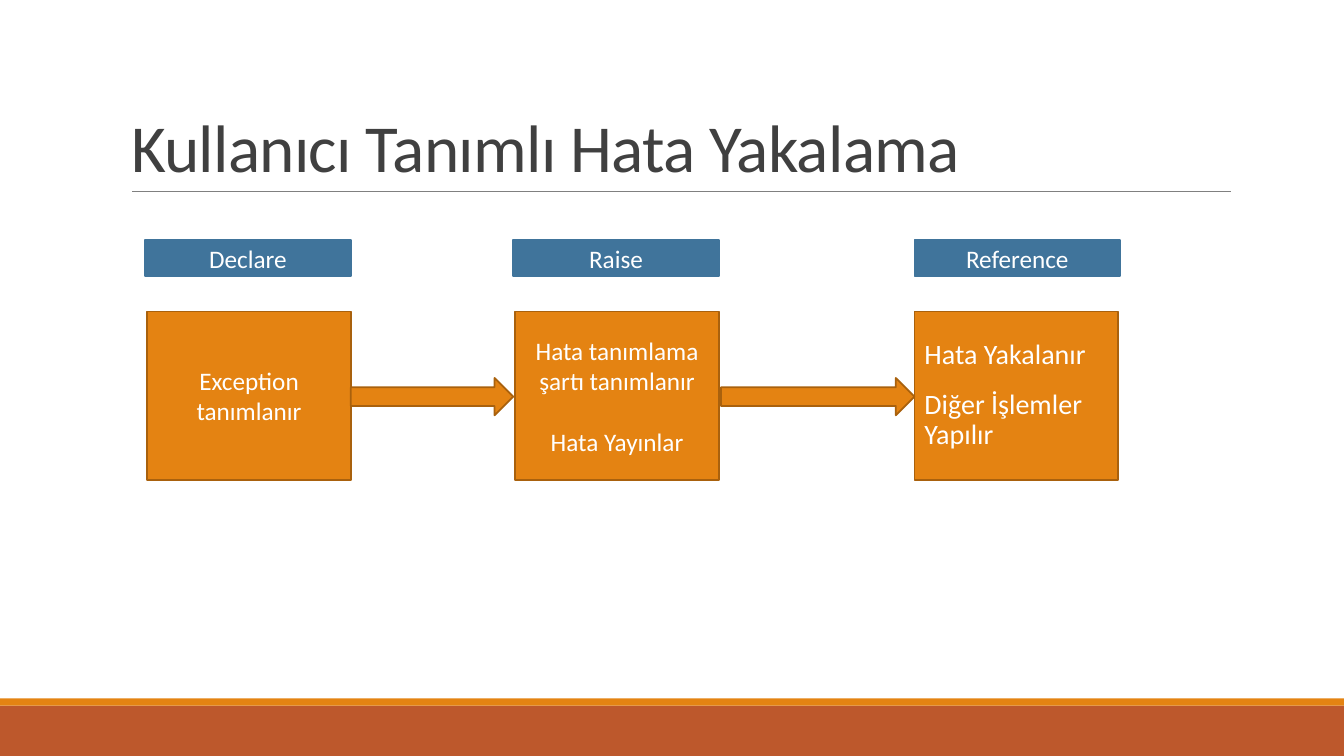
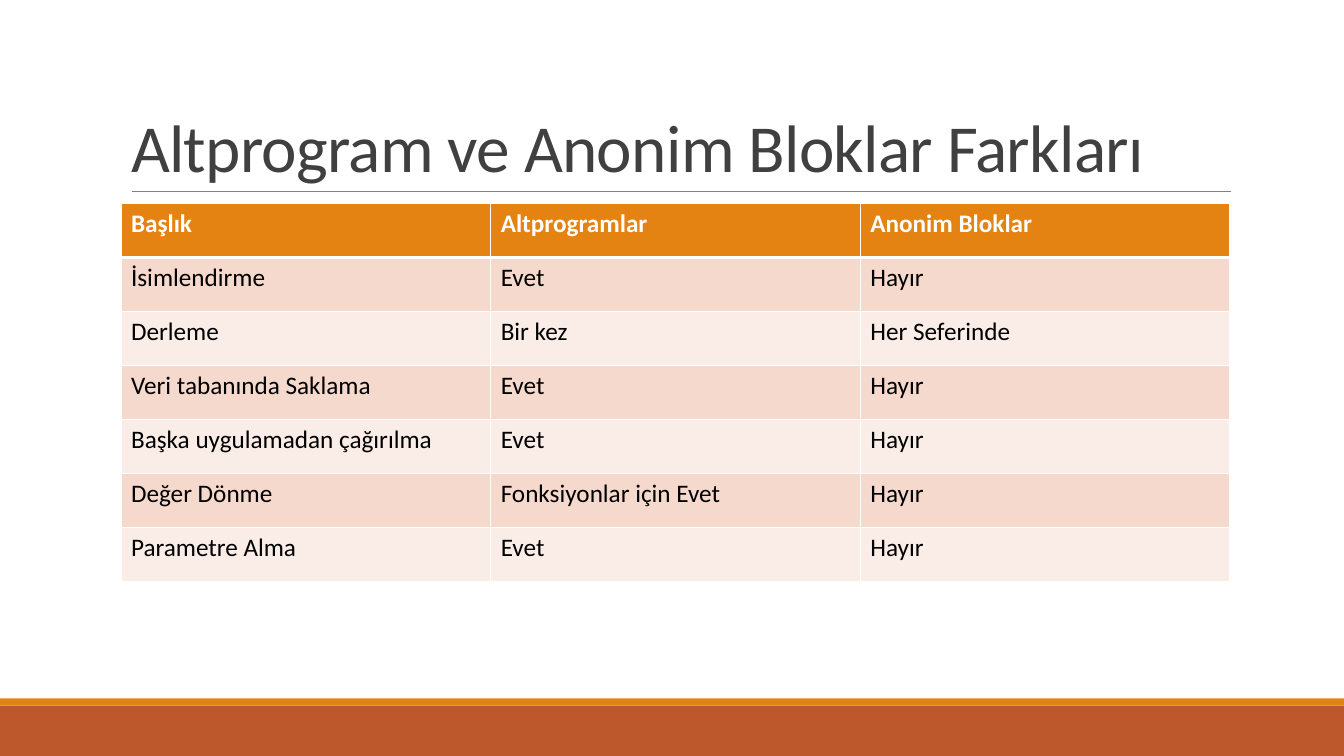
from pptx import Presentation
from pptx.dml.color import RGBColor
from pptx.enum.shapes import MSO_CONNECTOR, MSO_SHAPE
from pptx.enum.text import MSO_ANCHOR, MSO_AUTO_SIZE, PP_ALIGN
from pptx.oxml.ns import qn
from pptx.util import Inches, Pt
from lxml.etree import SubElement

# Shared look
FONT = "Calibri"
ORANGE = RGBColor(0xE4, 0x83, 0x12)
ORANGE_EDGE = RGBColor(0xA9, 0x61, 0x0D)
RUST = RGBColor(0xBD, 0x58, 0x2C)
BLUE = RGBColor(0x40, 0x74, 0x9B)
GRAY = RGBColor(0x80, 0x80, 0x80)
DARK = RGBColor(0x40, 0x40, 0x40)
BLACK = RGBColor(0, 0, 0)
WHITE = RGBColor(0xFF, 0xFF, 0xFF)
ROW_FILLS = [RGBColor(0xF5, 0xD9, 0xCC), RGBColor(0xFA, 0xED, 0xE7)]

# Content
FLOW_TITLE = "Kullanıcı Tanımlı Hata Yakalama"
CENTERED = {"alignment": PP_ALIGN.CENTER}
LISTED = {"alignment": PP_ALIGN.LEFT, "line_spacing": 0.9, "space_after": Pt(2)}
STEPS = [  # label, label left, box left, lines, size, gap before later lines, format
    ("Declare", 1.44, 1.46, ["Exception tanımlanır"], 18, 0, CENTERED),
    ("Raise", 5.09, 5.11, ["Hata tanımlama şartı tanımlanır", "Hata Yayınlar"],
     18, 22, CENTERED),
    ("Reference", 9.07, 9.07, ["Hata Yakalanır", "Diğer İşlemler Yapılır"],
     20, 12, LISTED),
]
ARROWS = [(3.48, 5.09), (7.15, 9.07)]  # left and right ends

TABLE_TITLE = "Altprogram ve Anonim Bloklar Farkları"
ROWS = [
    ("Başlık", "Altprogramlar", "Anonim Bloklar"),
    ("İsimlendirme", "Evet", "Hayır"),
    ("Derleme", "Bir kez", "Her Seferinde"),
    ("Veri tabanında Saklama", "Evet", "Hayır"),
    ("Başka uygulamadan çağırılma", "Evet", "Hayır"),
    ("Değer Dönme", "Fonksiyonlar için Evet", "Hayır"),
    ("Parametre Alma", "Evet", "Hayır"),
]


def set_all(target, values):
    for name, value in values.items():
        setattr(target, name, value)


def set_font(font, size, color, bold=False):
    set_all(font, {"name": FONT, "size": Pt(size), "bold": bold})
    font.color.rgb = color


def add_block(s, kind, box, fill, edge=None):
    sp = s.shapes.add_shape(kind, *map(Inches, box))
    sp.shadow.inherit = False
    sp.fill.solid()
    sp.fill.fore_color.rgb = fill
    if edge is None:
        sp.line.fill.background()
    else:
        sp.line.color.rgb = edge
        sp.line.width = Pt(1.25)
    return sp


def write(sp, lines, size, gap=0, style=CENTERED):
    tf = sp.text_frame
    set_all(tf, {"word_wrap": True, "vertical_anchor": MSO_ANCHOR.MIDDLE})
    for i, line in enumerate(lines):
        p = tf.add_paragraph() if i else tf.paragraphs[0]
        set_all(p, style)
        if i:
            p.space_before = Pt(gap)
        r = p.add_run()
        r.text = line
        set_font(r.font, size, WHITE)


def add_slide(prs, title):
    s = prs.slides.add_slide(prs.slide_layouts[5])
    # Footer bands and rule under the title
    add_block(s, MSO_SHAPE.RECTANGLE, (0, 7, 13.33, 0.5), RUST)
    add_block(s, MSO_SHAPE.RECTANGLE, (0, 6.93, 13.33, 0.07), ORANGE)
    rule = s.shapes.add_connector(MSO_CONNECTOR.STRAIGHT, Inches(1.31), Inches(1.9),
                                  Inches(12.21), Inches(1.9))
    rule.line.color.rgb = GRAY
    rule.line.width = Pt(0.5)
    SubElement(rule._element.spPr, qn("a:effectLst"))
    # Title
    sp = s.shapes.title
    set_all(sp, {"left": Inches(1.2), "top": Inches(0.31),
                 "width": Inches(11), "height": Inches(1.59)})
    tf = sp.text_frame
    set_all(tf, {"word_wrap": True, "auto_size": MSO_AUTO_SIZE.NONE,
                 "vertical_anchor": MSO_ANCHOR.BOTTOM})
    p = tf.paragraphs[0]
    set_all(p, {"alignment": PP_ALIGN.LEFT, "line_spacing": 0.85})
    r = p.add_run()
    r.text = title
    set_font(r.font, 48, DARK)
    r._r.get_or_add_rPr().set("spc", "-50")
    return s


def set_borders(cell, top, bottom):
    tcPr = cell._tc.get_or_add_tcPr()
    for side, width in (("L", 1), ("R", 1), ("T", top), ("B", bottom)):
        ln = SubElement(tcPr, qn(f"a:ln{side}"), w=str(Pt(width)))
        fill = SubElement(ln, qn("a:solidFill"))
        SubElement(fill, qn("a:srgbClr"), val=str(WHITE))


def build_flow(prs):
    s = add_slide(prs, FLOW_TITLE)
    for label, label_x, box_x, lines, size, gap, style in STEPS:
        box = add_block(s, MSO_SHAPE.RECTANGLE, (box_x, 3.09, 2.02, 1.67),
                        ORANGE, ORANGE_EDGE)
        write(box, lines, size, gap, style)
        tag = add_block(s, MSO_SHAPE.RECTANGLE, (label_x, 2.38, 2.04, 0.36), BLUE, BLUE)
        write(tag, [label], 18)
    for left, right in ARROWS:
        add_block(s, MSO_SHAPE.RIGHT_ARROW, (left, 3.75, right - left, 0.37),
                  ORANGE, ORANGE_EDGE)


def build_table(prs):
    s = add_slide(prs, TABLE_TITLE)
    table = s.shapes.add_table(len(ROWS), len(ROWS[0]), Inches(1.2), Inches(2.02),
                               Inches(11), Inches(3.75)).table
    for i, row in enumerate(ROWS):
        head = i == 0
        for j, text in enumerate(row):
            cell = table.cell(i, j)
            set_borders(cell, 3 if i == 1 else 1, 3 if head else 1)
            cell.fill.solid()
            cell.fill.fore_color.rgb = ORANGE if head else ROW_FILLS[(i - 1) % 2]
            r = cell.text_frame.paragraphs[0].add_run()
            r.text = text
            set_font(r.font, 18, WHITE if head else BLACK, head)


def main():
    prs = Presentation()
    prs.slide_width, prs.slide_height = Inches(13.33), Inches(7.5)
    build_flow(prs)
    build_table(prs)
    prs.save("out.pptx")


if __name__ == "__main__":
    main()
